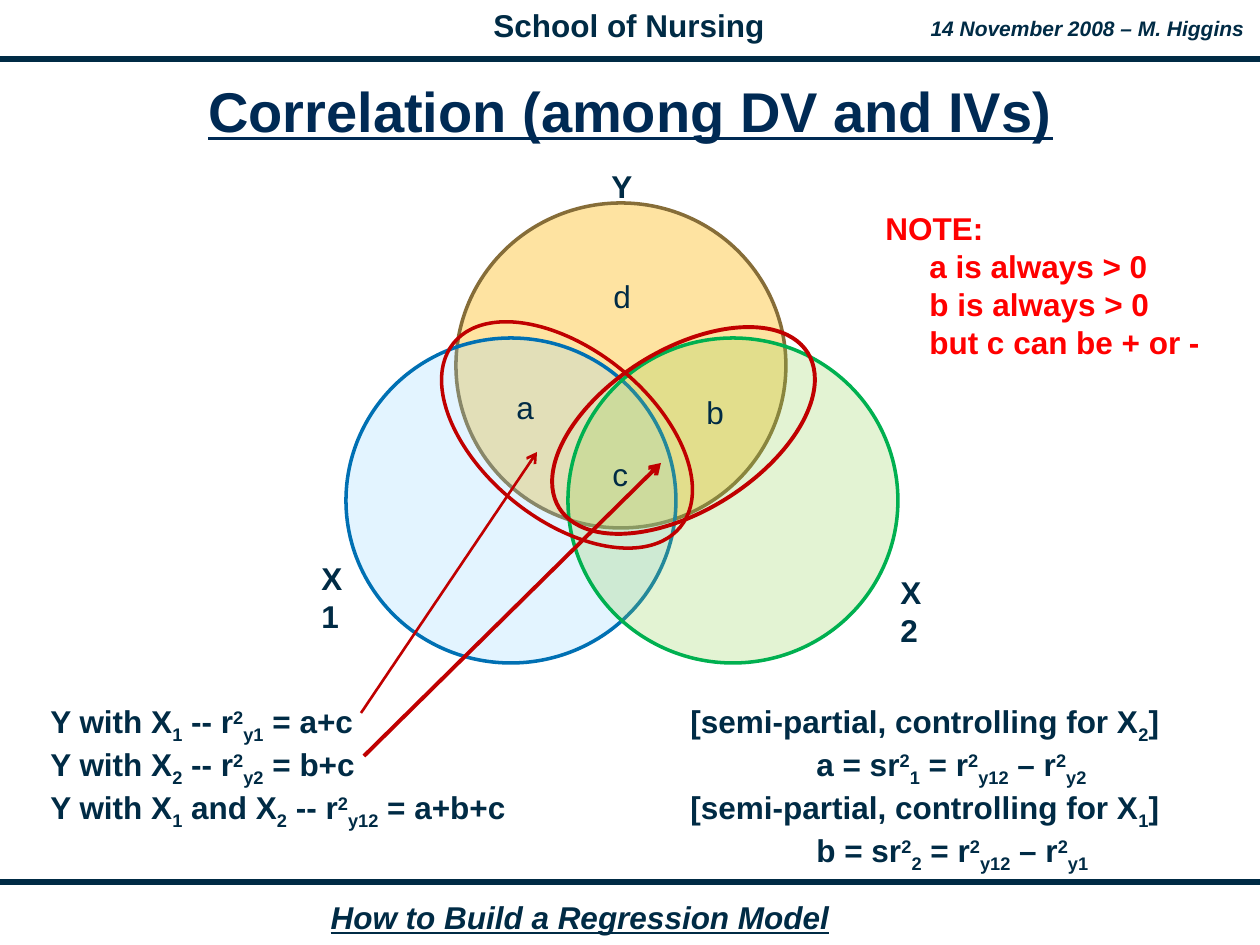
from lxml import etree
from pptx import Presentation
from pptx import util as u
from pptx.dml.color import RGBColor
from pptx.enum import shapes, text
from pptx.oxml.ns import qn

NAVY = RGBColor(0x00, 0x2B, 0x45)
TITLE_NAVY = RGBColor(0x00, 0x2A, 0x54)
RED = RGBColor(0xFF, 0x00, 0x00)
DARK_RED = RGBColor(0xC0, 0x00, 0x00)
GOLD, BROWN = RGBColor(0xFE, 0xE3, 0xA1), RGBColor(0x86, 0x6D, 0x38)
SKY, BLUE = RGBColor(0x91, 0xD5, 0xFF), RGBColor(0x00, 0x70, 0xB3)
LIME, GREEN = RGBColor(0x92, 0xD0, 0x50), RGBColor(0x00, 0xB0, 0x50)
PX = u.Inches(1) / 126
BASELINES = {"^": "30000", "_": "-25000"}
LEFT, CENTER = text.PP_ALIGN.LEFT, text.PP_ALIGN.CENTER


def px(*lengths):
    return [u.Emu(round(length * PX)) for length in lengths]


def write(place, lines, size=18, colour=NAVY, bold=True, italic=False,
          underline=False, align=LEFT, wrap=True):
    frame = slide.shapes.add_textbox(*px(*place)).text_frame
    frame.word_wrap = wrap
    for number, (indent, line) in enumerate(lines):
        paragraph = frame.add_paragraph() if number else frame.paragraphs[0]
        paragraph.alignment = align
        if indent:
            paragraph._p.get_or_add_pPr().set("marL", str(px(indent)[0]))
        for part in line.split("|"):
            run = paragraph.add_run()
            run.text = part.lstrip("^_")
            run.font.name, run.font.size = "Arial", u.Pt(size)
            run.font.color.rgb = colour
            run.font.bold, run.font.italic = bold, italic
            run.font.underline = underline
            if part[0] in BASELINES:
                run._r.get_or_add_rPr().set("baseline", BASELINES[part[0]])
    return frame


deck = Presentation()
deck.slide_width, deck.slide_height = px(1260, 945)
slide = deck.slides.add_slide(deck.slide_layouts[6])

write((481, 0, 296, 50), [(0, "School of Nursing")], align=CENTER, wrap=False)
write((318, 892, 524, 50), [(0, "How to Build a Regression Model")],
      italic=True, underline=True, align=CENTER, wrap=False)
write((918, 9, 339, 38), [(0, "14 November 2008 – M. Higgins")], size=12,
      italic=True, align=CENTER, wrap=False)
title = write((32, 82, 1197, 67), [(0, "Correlation (among DV and IVs)")], size=32,
              colour=TITLE_NAVY, underline=True, align=CENTER)
title.vertical_anchor = text.MSO_ANCHOR.MIDDLE
title.paragraphs[0].line_spacing = 0.85

write((38, 696, 544, 142), [
    (0, "Y with X|_1| -- r|^2|_y1| = a+c"),
    (0, "Y with X|_2| -- r|^2|_y2| = b+c"),
    (0, "Y with X|_1| and X|_2| -- r|^2|_y12| = a+b+c"),
])
write((678, 696, 558, 185), [
    (0, "[semi-partial, controlling for X|_2|]"),
    (126, "a = sr|^2|_1| = r|^2|_y12| – r|^2|_y2"),
    (0, "[semi-partial, controlling for X|_1|]"),
    (126, "b = sr|^2|_2| = r|^2|_y12| – r|^2|_y1"),
])

ellipses = [
    (456, 203, 330, 325, 0, GOLD, 100, BROWN, 2),
    (346, 338, 330, 325, 0, SKY, 25, BLUE, 2),
    (568, 338, 330, 325, 0, LIME, 25, GREEN, 2),
    (421, 350, 292, 170, 39, None, 0, DARK_RED, 2),
    (537, 350, 293, 161, 328, None, 0, DARK_RED, 2.25),
]
for *place, angle, fill, opacity, outline, weight in ellipses:
    ellipse = slide.shapes.add_shape(shapes.MSO_SHAPE.OVAL, *px(*place))
    ellipse.shadow.inherit = False
    ellipse.rotation = angle
    ellipse.line.color.rgb = outline
    ellipse.line.width = u.Pt(weight)
    if fill is None:
        ellipse.fill.background()
        continue
    ellipse.fill.solid()
    ellipse.fill.fore_color.rgb = fill
    if opacity < 100:
        colour = ellipse._element.spPr.find(qn("a:solidFill"))[0]
        etree.SubElement(colour, qn("a:alpha")).set("val", str(opacity * 1000))

labels = [
    ("a", 504, 382, 43, False), ("b", 694, 387, 43, False),
    ("c", 600, 449, 40, False), ("d", 601, 271, 43, False),
    ("Y", 599, 161, 45, True), ("X1", 309, 553, 63, True),
    ("X2", 888, 567, 63, True),
]
for label, left, top, width, bold in labels:
    write((left, top, width, 50), [(0, label)], bold=bold, wrap=False)

rules_and_arrows = [
    (0, 59, 1260, 59, NAVY, 3, False),
    (0, 882, 1260, 882, NAVY, 3, False),
    (361, 713, 537, 452, DARK_RED, 1.5, True),
    (364, 756, 661, 463, DARK_RED, 2.25, True),
]
for *ends, colour, weight, arrow in rules_and_arrows:
    line = slide.shapes.add_connector(shapes.MSO_CONNECTOR.STRAIGHT, *px(*ends))
    line.line.color.rgb = colour
    line.line.width = u.Pt(weight)
    if arrow:
        etree.SubElement(line.line._get_or_add_ln(), qn("a:tailEnd")).set("type", "arrow")
    etree.SubElement(line._element.spPr, qn("a:effectLst"))

write((873, 203, 352, 164), [
    (0, "NOTE:"),
    (44, "a is always > 0"),
    (44, "b is always > 0"),
    (44, "but c can be + or -"),
], colour=RED)

deck.save("out.pptx")
